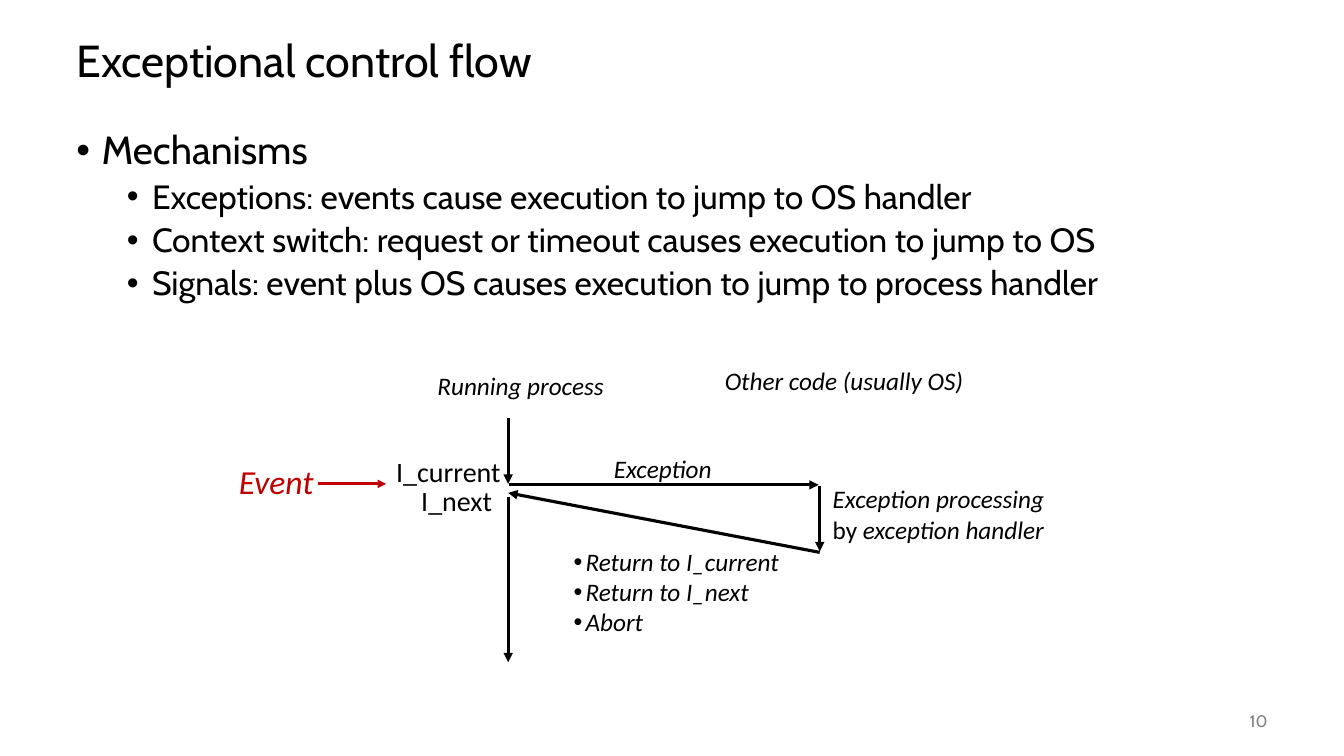
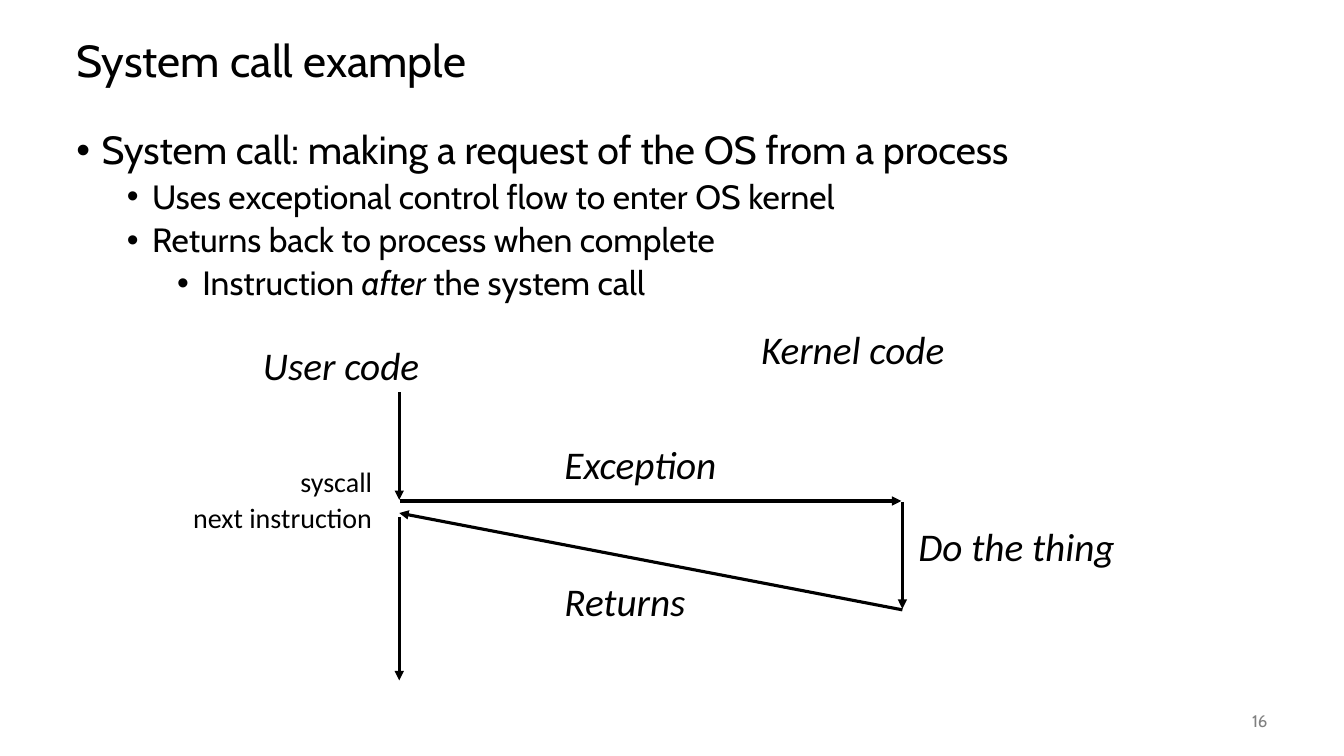
from lxml.etree import SubElement
from pptx import Presentation
from pptx.dml.color import RGBColor
from pptx.enum.shapes import MSO_CONNECTOR as Connector
from pptx.enum.text import MSO_ANCHOR as Anchor, PP_ALIGN as Align
from pptx.oxml.ns import qn
from pptx.util import Pt

PX = 9144
BLACK, RED, GREY = "000000", "C00000", "808080"
TITLE = {"name": "Cabin", "size": Pt(32)}
BODY = {"name": "Cabin", "size": Pt(24)}
LEAD = BODY | {"size": Pt(28)}
FOOTER = {"name": "Cabin", "size": Pt(12)}
NOTE = {"name": "Calibri", "size": Pt(18), "italic": True}
LABEL = NOTE | {"size": Pt(28)}
EVENT = NOTE | {"size": Pt(24)}
CODE = {"name": "Calibri", "size": Pt(20)}


def color(value):
    """Turn a hex string into a colour."""
    return RGBColor.from_string(value)


def px(*lengths):
    """Turn px lengths into EMU."""
    return [length * PX for length in lengths]


def set_all(target, formats):
    """Set each attribute in a dict of format values."""
    for name, value in formats.items():
        setattr(target, name, value)


def add_bullet(para, left, hanging):
    """Give a paragraph a hanging bullet."""
    properties = para._p.get_or_add_pPr()
    properties.set("marL", str(left * PX))
    properties.set("indent", str(-hanging * PX))
    SubElement(properties, qn("a:buFont"), typeface="Arial")
    SubElement(properties, qn("a:buChar"), char="•")


def add_spans(para, spans, formats, ink=BLACK):
    """Fill a paragraph with one text or with (text, italic) pairs."""
    if isinstance(spans, str):
        spans = [(spans, formats.get("italic", False))]
    for text, italic in spans:
        span = para.add_run()
        span.text = text
        set_all(span.font, formats | {"italic": italic})
        span.font.color.rgb = color(ink)


def add_box(page, place, anchor=Anchor.TOP):
    """Add an empty wrapping text box and return its frame."""
    frame = page.shapes.add_textbox(*px(*place)).text_frame
    set_all(frame, {"word_wrap": True, "vertical_anchor": anchor})
    return frame


def add_paras(frame, count):
    """Return the given number of paragraphs of an empty frame."""
    return [frame.paragraphs[0]] + [frame.add_paragraph() for _ in range(count - 1)]


def add_label(page, place, lines, formats, ink=BLACK, align=Align.LEFT, hanging=0):
    """Add a label of one or more lines, bulleted if it hangs."""
    frame = add_box(page, place)
    for para, spans in zip(add_paras(frame, len(lines)), lines):
        if hanging:
            add_bullet(para, hanging, hanging)
        para.alignment = align
        add_spans(para, spans, formats, ink)


def add_arrow(page, start, end, ink=BLACK, width=2.25):
    """Add a straight arrow between two points."""
    arrow = page.shapes.add_connector(Connector.STRAIGHT, *px(*start, *end))
    set_all(arrow.line, {"width": Pt(width)})
    arrow.line.color.rgb = color(ink)
    SubElement(arrow.line._get_or_add_ln(), qn("a:tailEnd"), type="triangle")
    SubElement(arrow._element.spPr, qn("a:effectLst"))


def add_control_flow(page, left, right, top, call, done, back, end):
    """Draw the arrows of a process that leaves for a handler and returns."""
    add_arrow(page, (left, top), (left, call - 1))
    add_arrow(page, (left + 1, call), (right - 1, call))
    add_arrow(page, (right, call + 1), (right, done - 1))
    add_arrow(page, (right, done), (left, back))
    add_arrow(page, (left, back + 4), (left, end))


def add_page(deck, title, number, points):
    """Add a page with title, page number and (level, spans) points."""
    page = deck.slides.add_slide(deck.slide_layouts[6])
    heading = add_box(page, (66, 25, 1200, 75), Anchor.MIDDLE).paragraphs[0]
    heading.line_spacing = 0.9
    add_spans(heading, title, TITLE)
    body = add_box(page, (66, 125, 1200, 550))
    for para, (level, spans) in zip(add_paras(body, len(points)), points):
        add_bullet(para, 25 + 50 * level, 25)
        set_all(para, {"level": level, "line_spacing": 0.9,
                       "space_before": Pt(5 if level else 0)})
        add_spans(para, spans, BODY if level else LEAD)
    footer = add_box(page, (1167, 695, 100, 40), Anchor.MIDDLE).paragraphs[0]
    footer.alignment = Align.RIGHT
    add_spans(footer, str(number), FOOTER, GREY)
    return page


def add_exception_page(deck):
    """Add the page on exceptional control flow."""
    page = add_page(deck, "Exceptional control flow", 10, [
        (0, "Mechanisms"),
        (1, "Exceptions: events cause execution to jump to OS handler"),
        (1, "Context switch: request or timeout causes execution to jump to OS"),
        (1, "Signals: event plus OS causes execution to jump to process handler"),
    ])
    add_control_flow(page, left=504, right=813, top=415, call=481,
                     done=548, back=489, end=657)
    for place, text in [((424, 362, 190, 40), "Running process"),
                        ((709, 358, 260, 40), "Other code (usually OS)"),
                        ((599, 445, 125, 40), "Exception")]:
        add_label(page, place, [text], NOTE)
    add_label(page, (816, 475, 235, 101), [
        "Exception processing", [("by ", False), ("exception handler", True)]], NOTE)
    add_label(page, (559, 537, 230, 101), [
        "Return to I_current", "Return to I_next", "Abort"], NOTE, hanging=12)
    add_label(page, (383, 446, 126, 44), ["I_current"], CODE)
    add_label(page, (408, 475, 94, 44), ["I_next"], CODE)
    add_label(page, (227, 452, 125, 50), ["Event"], EVENT, RED)
    add_arrow(page, (315, 480), (383, 480), RED, 2)


def add_system_call_page(deck):
    """Add the page with the system call example."""
    page = add_page(deck, "System call example", 16, [
        (0, "System call: making a request of the OS from a process"),
        (1, "Uses exceptional control flow to enter OS kernel"),
        (1, "Returns back to process when complete"),
        (2, [("Instruction ", False), ("after", True), (" the system call", False)]),
    ])
    add_control_flow(page, left=396, right=895, top=389, call=497,
                     done=605, back=509, end=675)
    for place, text in [((251, 334, 180, 57), "User code"),
                        ((745, 318, 208, 57), "Kernel code"),
                        ((550, 432, 175, 57), "Exception"),
                        ((901, 513, 220, 57), "Do the thing"),
                        ((550, 568, 145, 57), "Returns")]:
        add_label(page, place, [text], LABEL)
    for top, text in [(456, "syscall"), (492, "next instruction")]:
        add_label(page, (66, top, 313, 44), [text], CODE, align=Align.RIGHT)


def main():
    """Build and save the deck."""
    deck = Presentation()
    set_all(deck, dict(zip(("slide_width", "slide_height"), px(1333, 750))))
    add_exception_page(deck)
    add_system_call_page(deck)
    deck.save("out.pptx")


if __name__ == "__main__":
    main()
